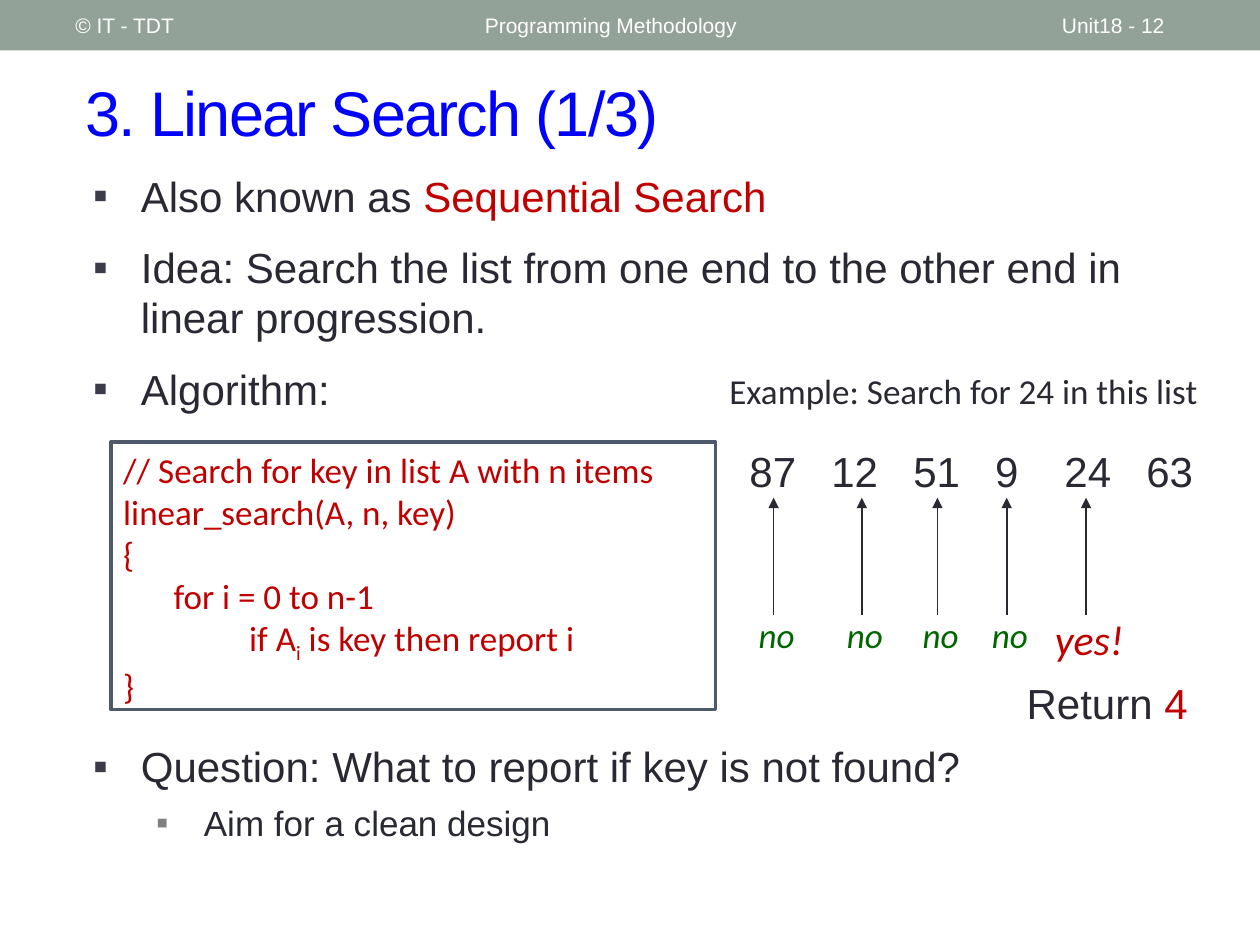
from lxml import etree
from pptx import Presentation
from pptx.dml.color import RGBColor
from pptx.enum.shapes import MSO_CONNECTOR, MSO_SHAPE
from pptx.enum.text import MSO_ANCHOR, MSO_AUTO_SIZE, PP_ALIGN
from pptx.oxml.ns import qn
from pptx.util import Inches, Pt

TITLE_ONLY = 5
LEFT, CENTER = PP_ALIGN.LEFT, PP_ALIGN.CENTER
TOP, MIDDLE = MSO_ANCHOR.TOP, MSO_ANCHOR.MIDDLE

INK, RED, GREEN, BLUE = "292934", "C00000", "006600", "0000FF"
WHITE, SAGE, SLATE = "FFFFFF", "93A299", "4C5A6A"
BULLET_COLORS = ["3B3B4B", "808080"]


def rgb(value):
    return RGBColor.from_string(value)


def add_element(parent, tag, **attributes):
    return etree.SubElement(parent, qn(tag), attributes)


def write_runs(paragraph, runs, size, font="Arial", italic=None):
    """Fill a paragraph from (text, colour) pairs."""
    for text, color in runs:
        run = paragraph.add_run()
        run.text = text
        run.font.size = Pt(size)
        run.font.name = font
        run.font.italic = italic
        run.font.color.rgb = rgb(color)


def add_tab_stops(paragraph, stops):
    tabs = add_element(paragraph._p.get_or_add_pPr(), "a:tabLst")
    for stop in stops:
        add_element(tabs, "a:tab", pos=str(Inches(stop)), algn="l")


def add_text(slide, box, runs, size, font="Arial", italic=None,
             align=LEFT, anchor=TOP, stops=()):
    frame = slide.shapes.add_textbox(*map(Inches, box)).text_frame
    frame.word_wrap = True
    frame.vertical_anchor = anchor
    paragraph = frame.paragraphs[0]
    paragraph.alignment = align
    if stops:
        add_tab_stops(paragraph, stops)
    write_runs(paragraph, runs, size, font, italic)


def add_rectangle(slide, box, fill, line=None):
    rectangle = slide.shapes.add_shape(MSO_SHAPE.RECTANGLE, *map(Inches, box))
    rectangle.shadow.inherit = False
    rectangle.fill.solid()
    rectangle.fill.fore_color.rgb = rgb(fill)
    if line:
        rectangle.line.color.rgb = rgb(line)
        rectangle.line.width = Pt(2.08)
    else:
        rectangle.line.fill.background()
    return rectangle


def add_bullets(slide, box, items):
    """Add a bulleted list of (level, runs) items."""
    frame = slide.shapes.add_textbox(*map(Inches, box)).text_frame
    frame.word_wrap = True
    for index, (level, runs) in enumerate(items):
        paragraph = frame.add_paragraph() if index else frame.paragraphs[0]
        paragraph.level = level
        if index:
            paragraph.space_before = Pt([12, 6][level])
        properties = paragraph._p.get_or_add_pPr()
        properties.set("marL", str(Inches(0.38 + 0.5 * level)))
        properties.set("indent", str(Inches(-0.38)))
        color = add_element(properties, "a:buClr")
        add_element(color, "a:srgbClr", val=BULLET_COLORS[level])
        add_element(properties, "a:buFont", typeface="Arial")
        add_element(properties, "a:buChar", char="▪")
        write_runs(paragraph, runs, [24, 20][level])


def add_code(slide, box, lines):
    """Add the framed algorithm; each line is a list of text pieces,
    every second piece being a subscript."""
    frame = add_rectangle(slide, box, WHITE, SLATE).text_frame
    frame.word_wrap = True
    frame.vertical_anchor = TOP
    for index, pieces in enumerate(lines):
        paragraph = frame.add_paragraph() if index else frame.paragraphs[0]
        paragraph.alignment = LEFT
        add_tab_stops(paragraph, [0.4, 1])
        write_runs(paragraph, [(piece, RED) for piece in pieces], 20, "Calibri")
        for subscript in paragraph.runs[1::2]:
            subscript.font._element.set("baseline", "-25000")


def add_up_arrow(slide, x, bottom, top):
    arrow = slide.shapes.add_connector(
        MSO_CONNECTOR.STRAIGHT, *map(Inches, (x, bottom, x, top)))
    arrow.line.color.rgb = rgb(INK)
    arrow.line.width = Pt(1)
    add_element(arrow.line._get_or_add_ln(), "a:tailEnd", type="triangle")
    add_element(arrow._element.spPr, "a:effectLst")


def add_title(slide, box, text):
    title = slide.shapes.title
    title.left, title.top, title.width, title.height = map(Inches, box)
    frame = title.text_frame
    frame.text = text
    frame.auto_size = MSO_AUTO_SIZE.NONE
    frame.vertical_anchor = MIDDLE
    paragraph = frame.paragraphs[0]
    paragraph.alignment = LEFT
    font = paragraph.runs[0].font
    font.size = Pt(36)
    font.name = "Arial"
    font.color.rgb = rgb(BLUE)
    font._element.set("spc", "-100")


def main():
    presentation = Presentation()
    presentation.slide_width = Inches(10)
    presentation.slide_height = Inches(7.5)
    slide = presentation.slides.add_slide(presentation.slide_layouts[TITLE_ONLY])

    # Header band and title
    add_rectangle(slide, (0, 0, 10, 0.4), SAGE)
    add_title(slide, (0.58, 0.42, 9.17, 0.92), "3. Linear Search (1/3)")
    for left, width, text in [(3.75, 4.5, "Programming Methodology"),
                              (8.33, 1.17, "Unit18 - 12"),
                              (0.5, 3.17, "© IT - TDT")]:
        add_text(slide, (left, 0.02, width, 0.36), [(text, WHITE)], 12,
                 anchor=MIDDLE)

    # Idea and algorithm
    add_bullets(slide, (0.64, 1.3, 9, 2.21), [
        (0, [("Also known as ", INK), ("Sequential Search", RED)]),
        (0, [("Idea: Search the list from one end to the other end in "
              "linear progression.", INK)]),
        (0, [("Algorithm:", INK)]),
    ])
    add_code(slide, (0.88, 3.51, 4.8, 2.12), [
        ["// Search for key in list A with n items"],
        ["linear_search(A, n, key)"],
        ["{"],
        ["\tfor i = 0 to n-1"],
        ["\t\tif A", "i", " is key then report i"],
        ["}"],
    ])

    # Worked example: the list, then one arrow and verdict per comparison
    add_text(slide, (5.85, 3.49, 3.86, 0.51),
             [("87\t12\t51\t9\t24\t63", INK)], 24,
             stops=[0.65, 1.3, 1.95, 2.5, 3.15])
    add_text(slide, (5.69, 2.88, 4.21, 0.44),
             [("Example: Search for 24 in this list", INK)], 20, "Calibri")
    no, yes = ("no", GREEN, 20), ("yes!", RED, 24)
    for x, (verdict, color, size) in zip([6.14, 6.84, 7.44, 7.99, 8.62],
                                         [no] * 4 + [yes]):
        add_up_arrow(slide, x, 4.88, 3.95)
        add_text(slide, (x - 0.39, 4.82, 0.83, 0.44), [(verdict, color)], size,
                 "Calibri", italic=True, align=CENTER)

    # Closing question and result
    add_bullets(slide, (0.64, 5.83, 9, 1.11), [
        (0, [("Question: What to report if key is not found?", INK)]),
        (1, [("Aim for a clean design", INK)]),
    ])
    add_text(slide, (8.05, 5.33, 1.66, 0.5), [("Return ", INK), ("4", RED)], 24)

    presentation.save("out.pptx")


if __name__ == "__main__":
    main()
